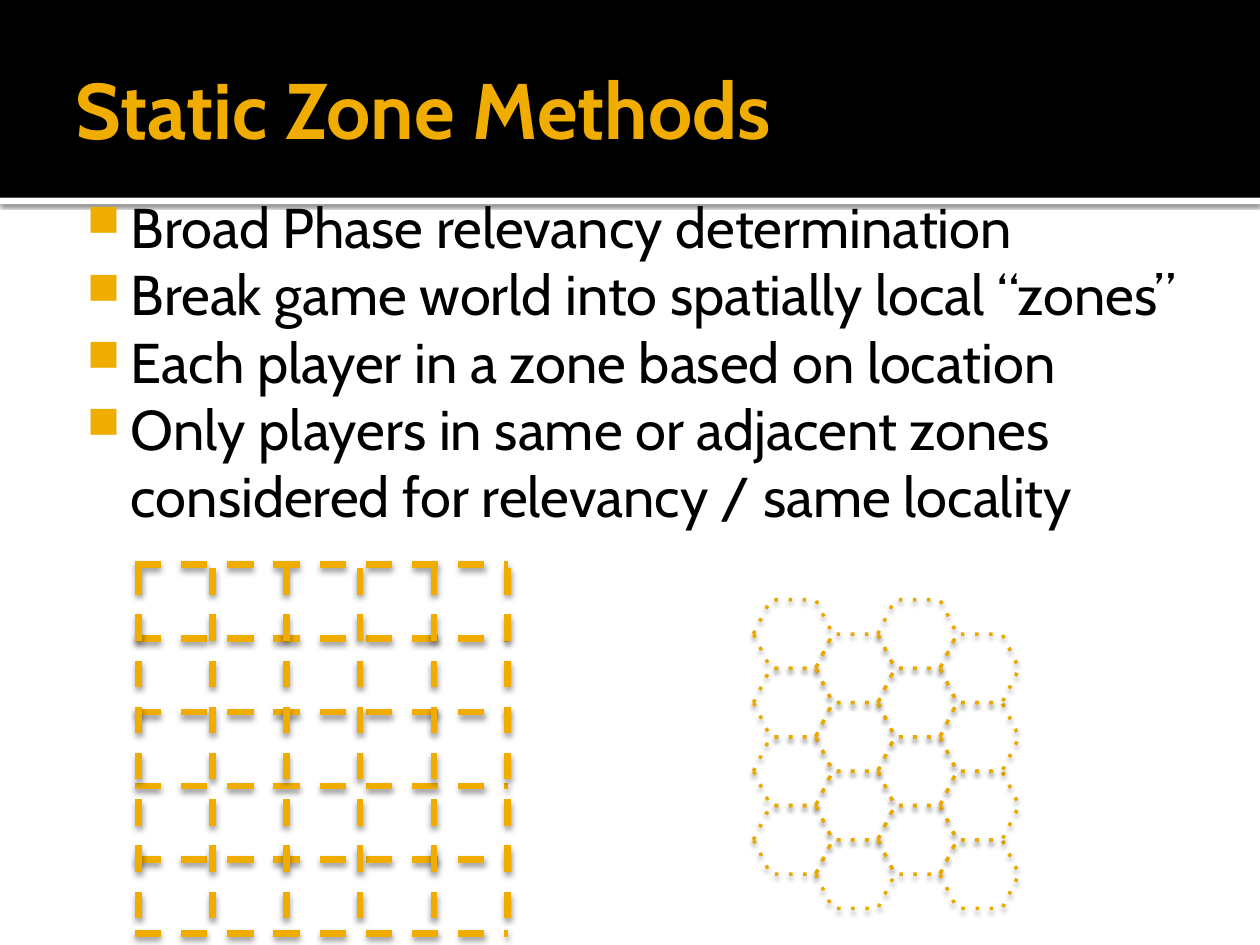
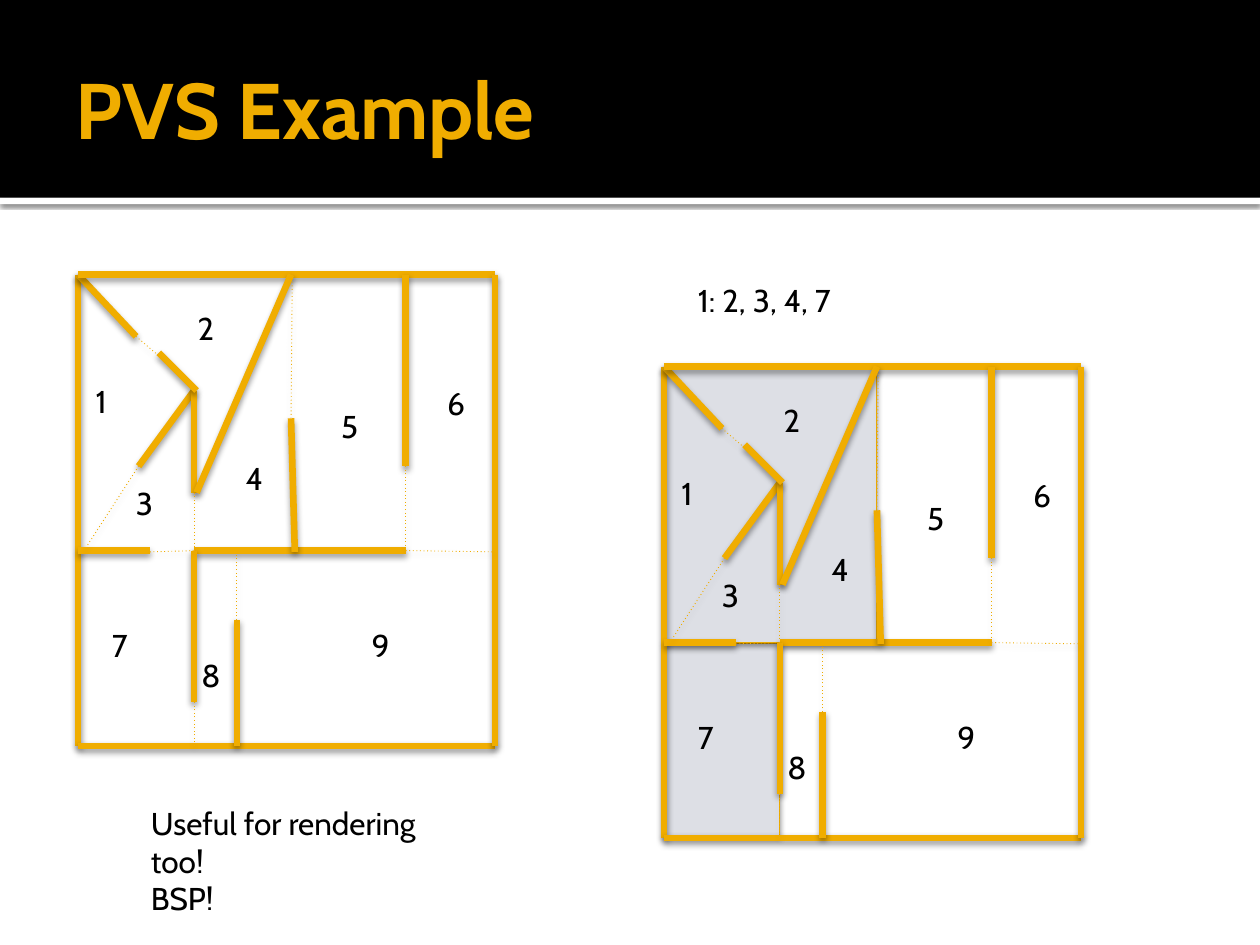
from dataclasses import dataclass

from lxml.etree import SubElement
from pptx import Presentation
from pptx.dml.color import RGBColor
from pptx.enum.shapes import MSO_CONNECTOR as Link, MSO_SHAPE as Form
from pptx.enum.text import MSO_ANCHOR as Anchor, MSO_AUTO_SIZE as Fit, PP_ALIGN as Align
from pptx.oxml.ns import qn
from pptx.util import Inches, Pt


@dataclass(frozen=True)
class Theme:
    """Colours, font, sizes and shadows shared by all slides."""
    gold: str = "F0AD00"
    edge: str = "EBA900"
    black: str = "000000"
    white: str = "FFFFFF"
    shade: str = "DDDFE5"
    font: str = "Cabin"
    title: float = 45
    body: float = 32
    note: float = 18
    wall: float = 3.78
    hair: float = 0.5
    dots: float = 2
    # Shadows: opacity in percent, blur and distance in points
    bar_glow: tuple = (60, 2.5, 0.8)
    line_glow: tuple = (38, 3.5, 2)
    form_glow: tuple = (38, 3.1, 2)


T = Theme()

# Floor plan, in inches from its top left corner
PLAN_W, PLAN_H = 3.31, 3.74
WALLS = [
    (0, 0, 0, PLAN_H), (0, 0, 0.46, 0.49), (0.92, 0.92, 0.48, 1.52),
    (0, 2.19, 0.57, 2.19), (0.92, 0.92, 0.92, 1.73), (0.94, 0.92, 0.64, 0.62),
    (0, 0, PLAN_W, 0), (1.69, 0, 0.94, 1.73), (2.6, 2.19, 0.92, 2.19),
    (2.6, 0, 2.6, 1.52), (1.69, 1.14, 1.72, 2.2), (PLAN_W, PLAN_H, 0, PLAN_H),
    (1.26, 2.74, 1.26, PLAN_H), (PLAN_W, 0, PLAN_W, PLAN_H),
    (0.92, 2.19, 0.92, 3.39),
]
DOORS = [
    (0.46, 0.49, 0.67, 0.67), (0.48, 1.52, 0.04, 2.2), (0.92, 1.73, 0.92, 2.19),
    (0.57, 2.2, 0.94, 2.19), (0.92, PLAN_H, 0.92, 3.39), (1.26, 2.74, 1.26, 2.2),
    (2.6, 2.19, PLAN_W, 2.2), (2.6, 1.52, 2.6, 2.2), (1.7, 0, 1.69, 1.14),
]
ROOMS = {
    "1": (0.04, 0.8), "2": (0.85, 0.22), "5": (1.99, 1), "4": (1.23, 1.41),
    "3": (0.36, 1.61), "6": (2.83, 0.82), "8": (0.88, 2.98), "7": (0.17, 2.74),
    "9": (2.23, 2.74),
}
SEEN = [(0, 2.2, 0.92, 1.52), (0, 0, 1.69, 2.19)]


def tint(code):
    """Turn a hex code into a colour."""
    return RGBColor.from_string(code)


def glow(shape, look):
    """Give a shape or connector a soft shadow straight below it."""
    part = shape.element.spPr
    for old in part.findall(qn("a:effectLst")):
        part.remove(old)
    alpha, blur, dist = look
    cast = SubElement(SubElement(part, qn("a:effectLst")), qn("a:outerShdw"),
                      blurRad=str(Pt(blur)), dist=str(Pt(dist)),
                      dir="5400000", algn="tl", rotWithShape="0")
    ink = SubElement(cast, qn("a:srgbClr"), val=T.black)
    SubElement(ink, qn("a:alpha"), val=str(alpha * 1000))


def stroke(shape, code, width, dash=None):
    """Set the colour, width and dash of an outline."""
    line = shape.line
    line.color.rgb = tint(code)
    line.width = Pt(width)
    if dash:
        SubElement(shape.element.spPr.find(qn("a:ln")), qn("a:prstDash"), val=dash)


def rule(shapes, ends, width, dash=None):
    """Draw a gold line with a shadow between two points."""
    line = shapes.add_connector(Link.STRAIGHT, *map(Inches, ends))
    stroke(line, T.gold, width, dash)
    glow(line, T.line_glow)


def block(shapes, box, fill=None, form=Form.RECTANGLE):
    """Add a preset shape with no line and no shadow."""
    shape = shapes.add_shape(form, *map(Inches, box))
    shape.shadow.inherit = False
    shape.line.fill.background()
    if fill:
        shape.fill.solid()
        shape.fill.fore_color.rgb = tint(fill)
    else:
        shape.fill.background()
    return shape


def write(para, text, size, code=T.black, bold=False):
    """Add one run to a paragraph."""
    run = para.add_run()
    run.text = text
    font = run.font
    font.name, font.size, font.bold = T.font, Pt(size), bold
    font.color.rgb = tint(code)


def pad(frame, *sides):
    """Set the left, top, right and bottom insets."""
    (frame.margin_left, frame.margin_top,
     frame.margin_right, frame.margin_bottom) = map(Inches, sides)


def note(shapes, box, lines, size=T.note):
    """Add a text box with one paragraph for each line."""
    frame = shapes.add_textbox(*map(Inches, box)).text_frame
    frame.word_wrap = True
    for i, text in enumerate(lines):
        para = frame.add_paragraph() if i else frame.paragraphs[0]
        write(para, text, size)
    return frame


def head(deck, text):
    """Add a slide with the black band, its rule and the title."""
    slide = deck.slides.add_slide(deck.slide_layouts[5])
    glow(block(slide.shapes, (0, 1.57, 10, 0.05), T.white), T.bar_glow)
    block(slide.shapes, (0, 0, 10, 1.57), T.black)
    title = slide.shapes.title
    title.left, title.top, title.width, title.height = map(
        Inches, (0.5, 0.17, 9, 1.37))
    frame = title.text_frame
    frame.auto_size = Fit.NONE
    frame.vertical_anchor = Anchor.MIDDLE
    pad(frame, 0.1, 0.05, 0.05, 0.05)
    para = frame.paragraphs[0]
    para.alignment = Align.LEFT
    write(para, text, T.title, T.gold, True)
    title.element.getparent().append(title.element)  # in front of the band
    return slide


def points(shapes, box, lines):
    """Add a list with square gold bullets."""
    frame = note(shapes, box, lines, T.body)
    pad(frame, 0.06, 0.1, 0.1, 0.05)
    for para in frame.paragraphs:
        props = para._p.get_or_add_pPr()
        props.set("marL", str(Inches(0.48)))
        props.set("indent", str(Inches(-0.35)))
        SubElement(SubElement(props, qn("a:buClr")), qn("a:srgbClr"), val=T.gold)
        SubElement(props, qn("a:buSzPct"), val="80000")
        SubElement(props, qn("a:buChar"), char="\u25a0")


def grid(shapes, box, cells=5):
    """Draw a square grid of dashed lines."""
    left, top, width, height = box
    lip = 0.03
    group = shapes.add_group_shape().shapes
    for i in range(cells + 1):
        y = top + height * i / cells
        rule(group, (left - lip, y, left + width, y), T.wall, "dash")
    for i in reversed(range(cells + 1)):
        x = left + width * i / cells
        rule(group, (x, top + lip, x, top + height), T.wall, "dash")


def comb(shapes, box, cols=4, rows=4):
    """Draw a honeycomb of dotted cells; odd columns sit half a cell lower."""
    left, top, width, height = box
    tall = height / (rows + 0.5)
    wide = 0.63
    step = (width - wide) / (cols - 1)
    group = shapes.add_group_shape().shapes
    for col in range(cols):
        for row in reversed(range(rows)):
            y = top + tall * (row + col % 2 / 2)
            cell = block(group, (left + step * col, y, wide, tall),
                         form=Form.HEXAGON)
            stroke(cell, T.edge, T.dots, "dot")
            glow(cell, T.form_glow)


def plan(shapes, left, top, seen=()):
    """Draw the floor plan with its walls, room numbers and doors."""
    group = shapes.add_group_shape().shapes

    def shift(ends):
        x1, y1, x2, y2 = ends
        return left + x1, top + y1, left + x2, top + y2

    for x, y, width, height in seen:
        area = block(group, (left + x, top + y, width, height), T.shade)
        stroke(area, T.edge, T.hair)
        glow(area, T.form_glow)
    for ends in WALLS:
        rule(group, shift(ends), T.wall)
    for name, (x, y) in ROOMS.items():
        note(group, (left + x, top + y, 0.38, 0.4), [name])
    for ends in DOORS:
        rule(group, shift(ends), T.hair, "dot")


def zones(deck):
    """Build the slide on static zones."""
    shapes = head(deck, "Static Zone Methods").shapes
    points(shapes, (0.5, 1.43, 9, 6.17), [
        "Broad Phase relevancy determination",
        "Break game world into spatially local \u201czones\u201d",
        "Each player in a zone based on location",
        "Only players in same or adjacent zones considered for relevancy"
        " / same locality",
    ])
    grid(shapes, (1.1, 4.48, 2.93, 2.93))
    comb(shapes, (5.98, 4.76, 2.11, 2.45))


def sight(deck):
    """Build the slide on visible sets."""
    shapes = head(deck, "PVS Example").shapes
    plan(shapes, 0.62, 2.18)
    plan(shapes, 5.27, 2.91, SEEN)
    note(shapes, (5.44, 2.18, 1.33, 0.4), ["1: 2, 3, 4, 7"])
    note(shapes, (1.1, 6.33, 2.76, 0.71), ["Useful for rendering too!", "BSP!"])


deck = Presentation()
deck.slide_width, deck.slide_height = Inches(10), Inches(7.5)
zones(deck)
sight(deck)
deck.save("out.pptx")
